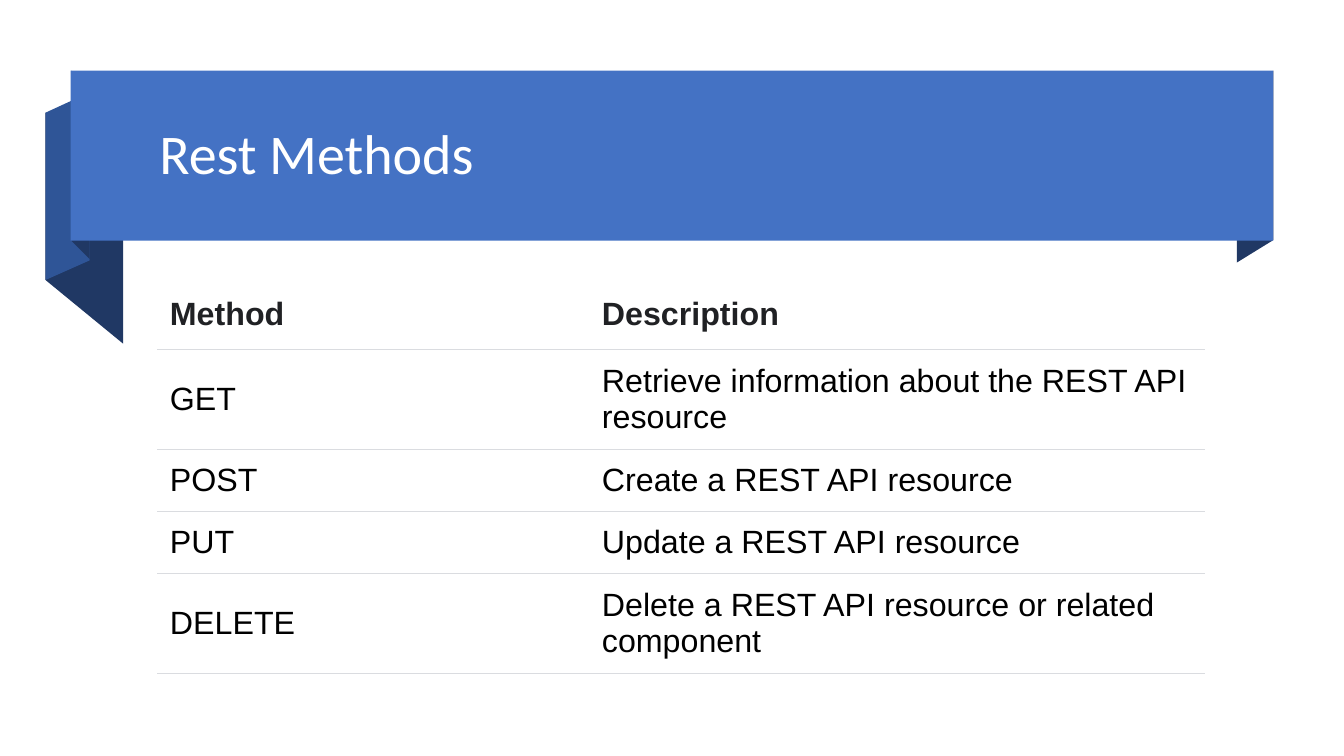
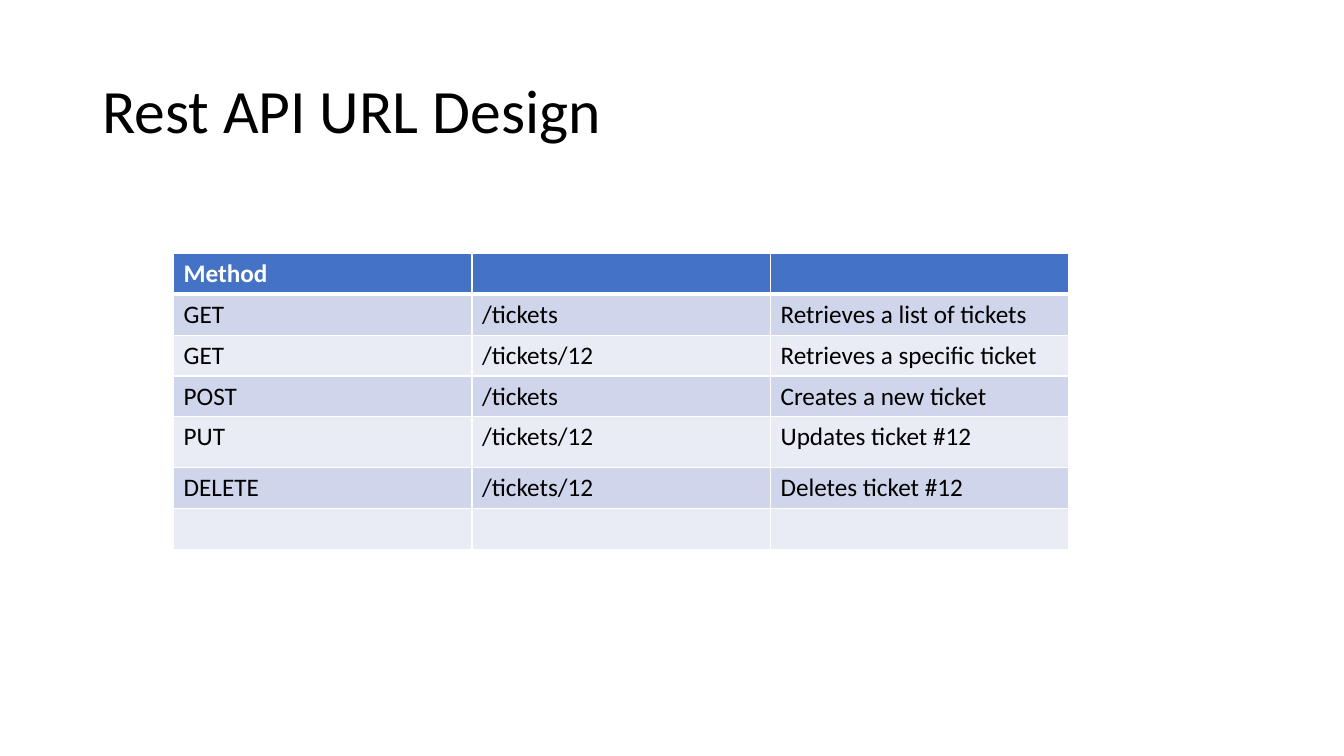
from lxml.etree import SubElement
from pptx import Presentation
from pptx.dml.color import RGBColor
from pptx.enum.shapes import MSO_SHAPE
from pptx.enum.text import MSO_ANCHOR
from pptx.oxml.ns import qn
from pptx.util import Pt

WHITE = RGBColor(0xFF, 0xFF, 0xFF)
BLACK = RGBColor(0x00, 0x00, 0x00)
CHARCOAL = RGBColor(0x20, 0x21, 0x24)
RULE_GRAY = RGBColor(0xDA, 0xDC, 0xE0)
BLUE = RGBColor(0x44, 0x72, 0xC4)
MID_BLUE = RGBColor(0x2F, 0x55, 0x97)
DARK_BLUE = RGBColor(0x20, 0x38, 0x64)
BAND_DARK = RGBColor(0xCF, 0xD5, 0xEA)
BAND_LIGHT = RGBColor(0xE9, 0xEB, 0xF5)

BODY_FONT = "Calibri"
TABLE_FONT = "Arial"

RIBBON_FOLDS = [
    (DARK_BLUE, [(909.5, 171.5), (883.5, 187.5), (883.5, 65.5), (909.5, 50.5)]),
    (DARK_BLUE, [(88, 245.5), (32.5, 200), (32.5, 80.5), (88, 126)]),
    (MID_BLUE, [(64, 186), (32.5, 200), (32.5, 80.5), (64, 66)]),
    (DARK_BLUE, [(64, 185), (51, 172), (51, 50.5), (64, 64)]),
]

METHODS = [
    ("Method", "Description"),
    ("GET", "Retrieve information about the REST API resource"),
    ("POST", "Create a REST API resource"),
    ("PUT", "Update a REST API resource"),
    ("DELETE", "Delete a REST API resource or related component"),
]

ENDPOINTS = [
    ("Method", "", ""),
    ("GET", "/tickets", "Retrieves a list of tickets"),
    ("GET", "/tickets/12", "Retrieves a specific ticket"),
    ("POST", "/tickets", "Creates a new ticket"),
    ("PUT", "/tickets/12", "Updates ticket #12"),
    ("DELETE", "/tickets/12", "Deletes ticket #12"),
    ("", "", ""),
]


def add_page(deck):
    return deck.slides.add_slide(deck.slide_layouts[6])


def add_span(para, text, font, size, color, bold=False):
    span = para.add_run()
    span.text = text
    span.font.name = font
    span.font.size = Pt(size)
    span.font.color.rgb = color
    span.font.bold = bold


def add_title(page, area, text, size, color):
    box = page.shapes.add_textbox(*map(Pt, area))
    frame = box.text_frame
    frame.word_wrap = True
    frame.vertical_anchor = MSO_ANCHOR.MIDDLE
    para = frame.paragraphs[0]
    para.line_spacing = 0.9
    add_span(para, text, BODY_FONT, size, color)


def paint(shape, color):
    shape.shadow.inherit = False
    shape.fill.solid()
    shape.fill.fore_color.rgb = color
    shape.line.fill.background()


def add_fold(page, color, corners):
    points = [(Pt(x), Pt(y)) for x, y in corners]
    builder = page.shapes.build_freeform(*points[0])
    builder.add_line_segments(points[1:], close=True)
    paint(builder.convert_to_shape(), color)


def add_ribbon(page):
    for color, corners in RIBBON_FOLDS:
        add_fold(page, color, corners)
    banner = page.shapes.add_shape(
        MSO_SHAPE.RECTANGLE, Pt(50.5), Pt(50.5), Pt(859), Pt(121.5))
    paint(banner, BLUE)


def set_borders(cell, color, widths):
    properties = cell._tc.get_or_add_tcPr()
    for edge in "LRTB":
        width = widths.get(edge, 0)
        line = SubElement(properties, qn(f"a:ln{edge}"), w=str(Pt(width)))
        if width:
            fill = SubElement(line, qn("a:solidFill"))
            SubElement(fill, qn("a:srgbClr"), val=str(color))
        else:
            SubElement(line, qn("a:noFill"))


def add_table(page, left, top, widths, heights, rows, style_cell):
    frame = page.shapes.add_table(
        len(rows), len(widths), Pt(left), Pt(top), Pt(sum(widths)), Pt(sum(heights)))
    table = frame.table
    for column, width in zip(table.columns, widths):
        column.width = Pt(width)
    for row, height in zip(table.rows, heights):
        row.height = Pt(height)
    for row_index, texts in enumerate(rows):
        for column_index, text in enumerate(texts):
            style_cell(table.cell(row_index, column_index), row_index, text)


def style_ruled_cell(cell, row_index, text):
    header = row_index == 0
    cell.margin_left = cell.margin_right = Pt(9)
    cell.margin_top = cell.margin_bottom = Pt(6.5)
    cell.vertical_anchor = MSO_ANCHOR.TOP if header else MSO_ANCHOR.MIDDLE
    set_borders(cell, RULE_GRAY, {"B": 0.68} if header else {"T": 0.68, "B": 0.68})
    cell.fill.background()
    add_span(cell.text_frame.paragraphs[0], text, TABLE_FONT, 23,
             CHARCOAL if header else BLACK, header)


def style_banded_cell(cell, row_index, text):
    header = row_index == 0
    set_borders(cell, WHITE, {"L": 1, "R": 1, "T": 3 if row_index == 1 else 1,
                              "B": 3 if header else 1})
    cell.fill.solid()
    band = BAND_DARK if row_index % 2 else BAND_LIGHT
    cell.fill.fore_color.rgb = BLUE if header else band
    if text:
        add_span(cell.text_frame.paragraphs[0], text, BODY_FONT, 18,
                 WHITE if header else BLACK, header)


def build_methods_page(deck):
    page = add_page(deck)
    add_ribbon(page)
    add_title(page, (106.8, 59.8, 788, 104.4), "Rest Methods", 40, WHITE)
    short, tall = 44.4, 71.4
    add_table(page, 112.4, 205.2, [308.6, 440], [short, tall, short, short, tall],
              METHODS, style_ruled_cell)


def build_endpoints_page(deck):
    page = add_page(deck)
    add_title(page, (66, 28.8, 828, 104.4), "Rest API URL Design", 44, BLACK)
    heights = [36.2 if row[0] == "PUT" else 29.2 for row in ENDPOINTS]
    add_table(page, 124, 181, [213.2] * 3, heights, ENDPOINTS, style_banded_cell)


def main():
    deck = Presentation()
    deck.slide_width = Pt(960)
    deck.slide_height = Pt(540)
    build_methods_page(deck)
    build_endpoints_page(deck)
    deck.save("out.pptx")


if __name__ == "__main__":
    main()
